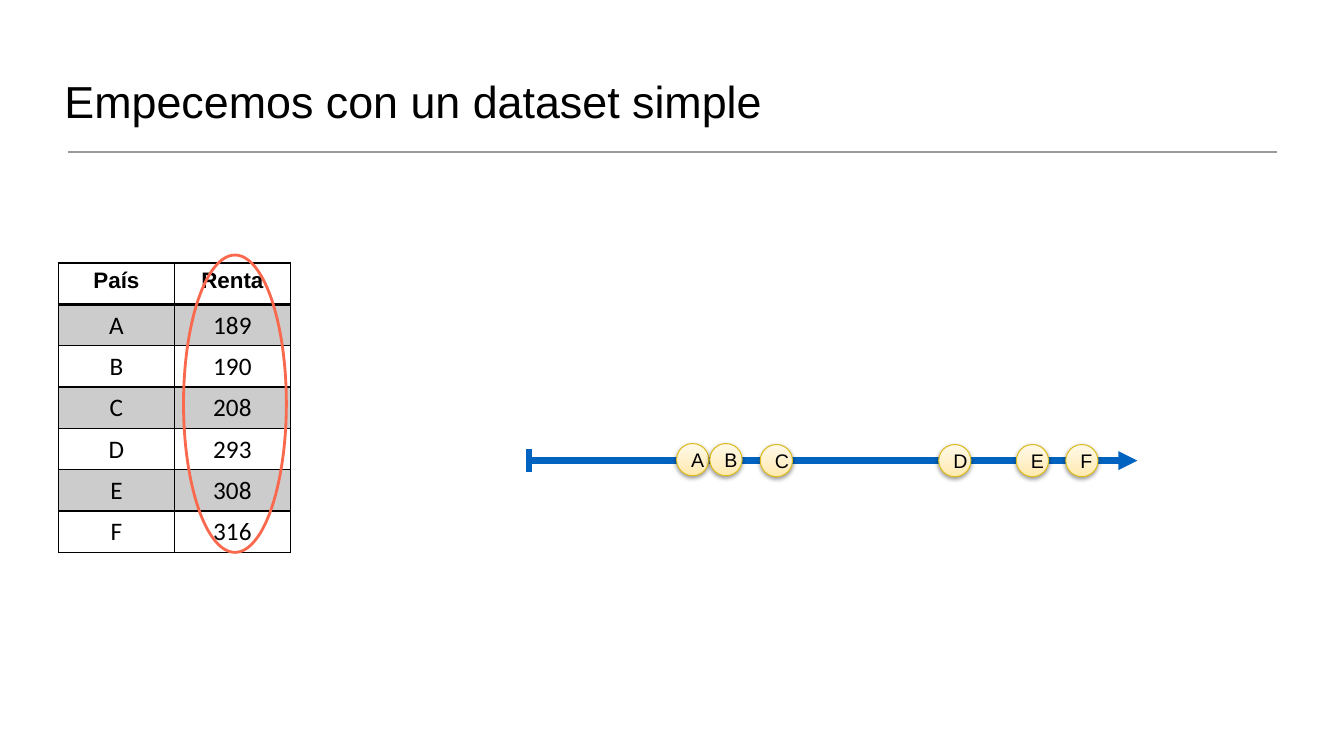
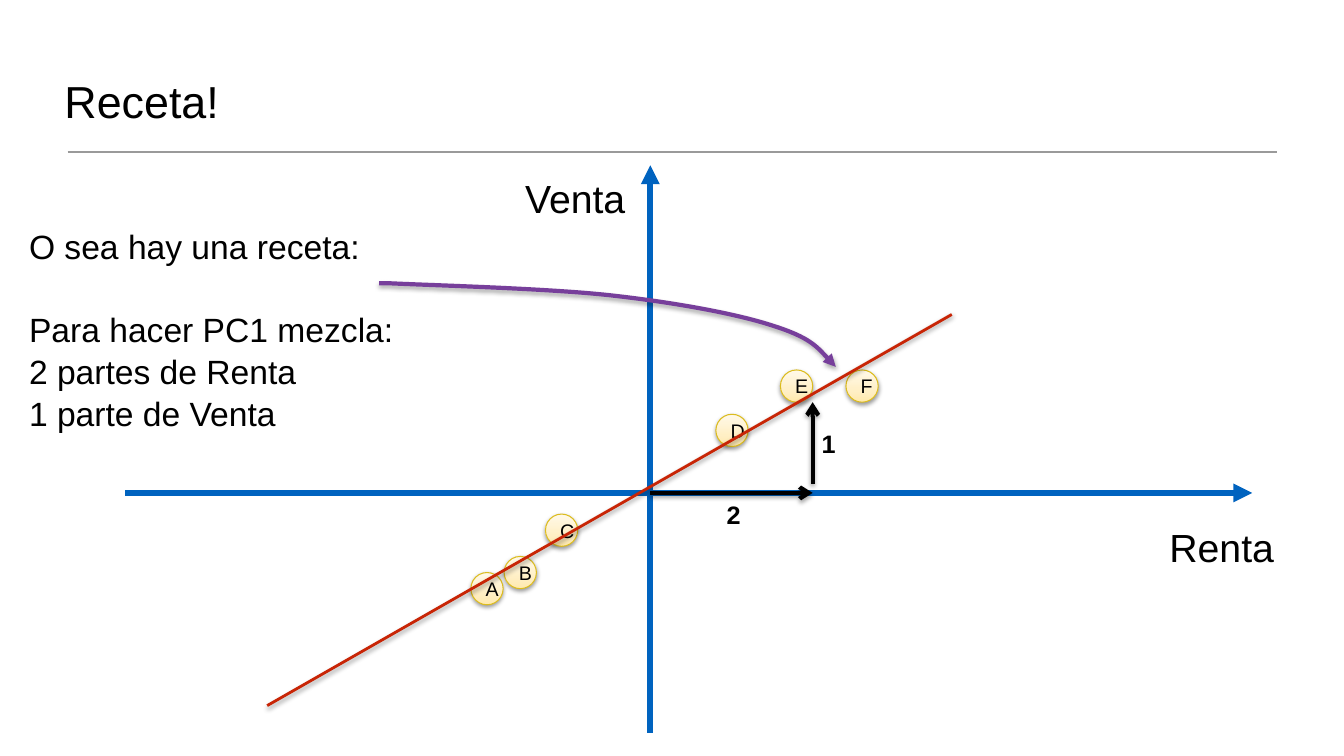
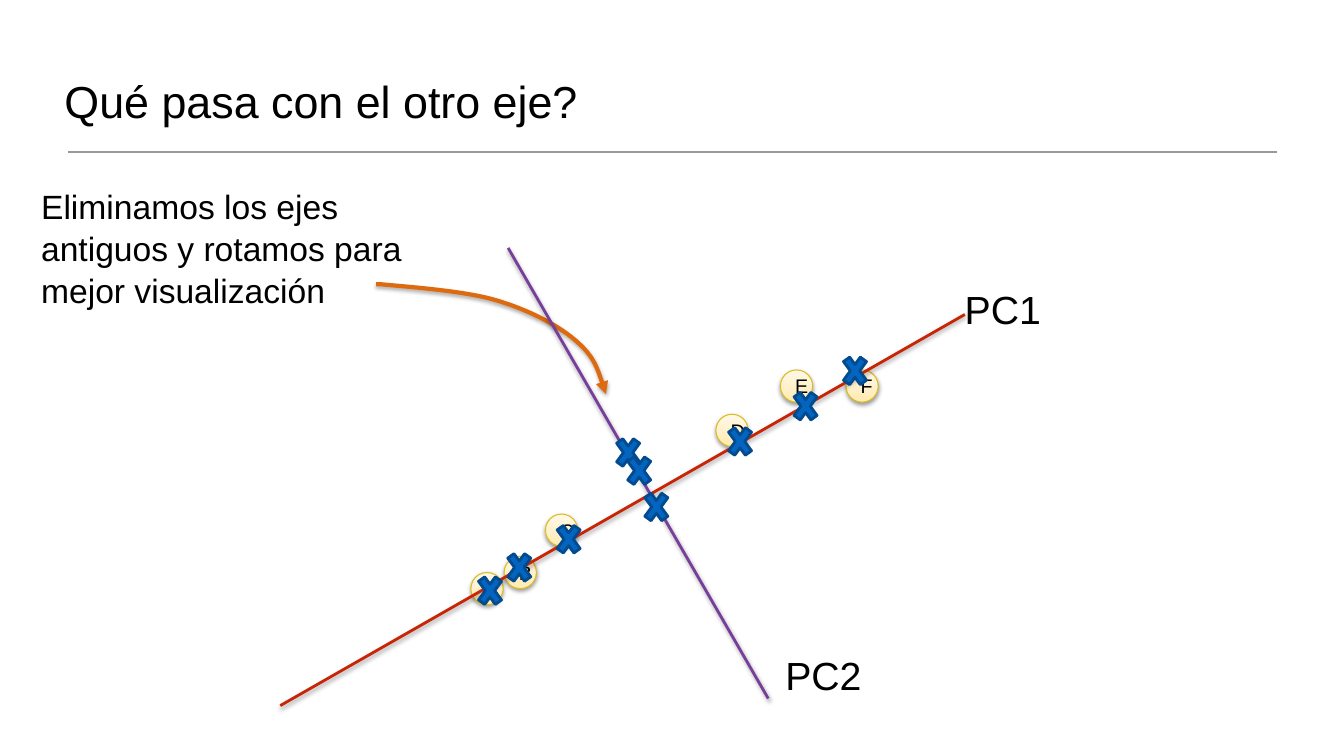
"""Build three slides that introduce principal components."""
from dataclasses import dataclass

from lxml.etree import SubElement
from pptx import Presentation
from pptx.dml.color import RGBColor
from pptx.enum.shapes import MSO_CONNECTOR, MSO_SHAPE
from pptx.enum.text import MSO_ANCHOR, PP_ALIGN
from pptx.oxml.ns import qn
from pptx.util import Pt

EMU_PER_PX = 9144
STRAIGHT = MSO_CONNECTOR.STRAIGHT
ELLIPSE, CROSS = MSO_SHAPE.OVAL, MSO_SHAPE.MATH_MULTIPLY
LEFT, CENTER = PP_ALIGN.LEFT, PP_ALIGN.CENTER
TOP, MIDDLE, BOTTOM = MSO_ANCHOR.TOP, MSO_ANCHOR.MIDDLE, MSO_ANCHOR.BOTTOM

BLACK, RULE, CORAL = "000000", "9A9A9A", "FA694E"
AXIS, RED, PURPLE, ORANGE = "0063BF", "C82506", "773F9B", "DE6A10"
CROSS_FILL, CROSS_LINE, POINT_LINE = "0365C0", "024B8E", "DCBC1E"
POINT_STOPS = ((0, "FFE9AD"), (35, "FFEFC5"), (100, "FFF9E9"))
POINT_SIZE = 32
CROSS_WIDTH, CROSS_HEIGHT = 32, 44
COLUMN_WIDTH, ROW_HEIGHT = 115, 41


@dataclass(frozen=True)
class Shadow:
    """Soft shadow that falls straight down."""
    alpha: int
    distance: float
    blur: float = 3.1


@dataclass(frozen=True)
class Stroke:
    """Look of a line."""
    color: str
    width: float
    tail: str = ""
    shadow: Shadow | None = None


@dataclass(frozen=True)
class Point:
    """Lettered observation, placed by its top left corner."""
    name: str
    x: int
    y: int


@dataclass(frozen=True)
class Label:
    """Single-line text, placed by its box."""
    text: str
    x: int
    y: int
    w: int
    h: int = 57
    size: int = 28
    bold: bool = False


SOFT, FIRM = Shadow(38, 1.6), Shadow(35, 1.8)
AXIS_ARROW = Stroke(AXIS, 4.5, "triangle")
STEP_ARROW = Stroke(BLACK, 3, "arrow", FIRM)
PC1_LINE, PC2_LINE = Stroke(RED, 2, shadow=SOFT), Stroke(PURPLE, 2, shadow=SOFT)

INCOMES = (("A", 189), ("B", 190), ("C", 208), ("D", 293), ("E", 308), ("F", 316))
AXIS_POINTS = (Point("A", 671, 440), Point("B", 704, 440), Point("C", 754, 441),
               Point("D", 931, 441), Point("E", 1008, 441), Point("F", 1057, 441))
PLANE_POINTS = (Point("A", 467, 568), Point("B", 500, 552), Point("C", 541, 510),
                Point("D", 710, 411), Point("E", 774, 367), Point("F", 839, 367))
CROSSES = ((832, 346), (783, 381), (718, 416), (548, 513), (499, 541),
           (470, 564), (607, 427), (618, 445), (635, 481))
RECIPE = ("O sea hay una receta:", "Para hacer PC1 mezcla:", "2 partes de Renta", "1 parte de Venta")
RECIPE_CURVE = ((376, 281), (385, 281), (385, 281), (385, 281), (423, 283), (541, 286), (605, 293),
                (668, 300), (729, 311), (766, 323), (804, 335), (816, 350), (829, 364))
ROTATION_CURVE = ((373, 282), (378, 282), (378, 282), (378, 282), (397, 284), (457, 288), (489, 297),
                  (521, 306), (551, 321), (570, 337), (589, 353), (595, 372), (601, 391))


def px(value: int) -> int:
    """Turn px into EMU."""
    return value * EMU_PER_PX


def rgb(color: str) -> RGBColor:
    """Turn a hex string into a colour."""
    return RGBColor.from_string(color)


def add_xml(parent, tag: str, **attrs):
    """Append an XML child."""
    return SubElement(parent, qn(tag), {k: str(v) for k, v in attrs.items()})


def add_color(parent, color: str, alpha: int = 100) -> None:
    """Append a colour with its opacity in percent."""
    node = add_xml(parent, "a:srgbClr", val=color)
    if alpha < 100:
        add_xml(node, "a:alpha", val=alpha * 1000)


def write(p, text: str, *, size: int, font: str = "Arial", bold: bool = False, align=LEFT,
          spacing: float | None = None, before: int = 0) -> None:
    """Fill a paragraph with formatted text."""
    p.alignment = align
    if spacing:
        p.line_spacing = spacing
    if before:
        p.space_before = Pt(before)
    r = p.add_run()
    r.text = text
    r.font.size, r.font.name, r.font.bold = Pt(size), font, bold
    r.font.color.rgb = rgb(BLACK)


def set_shadow(sp, shadow: Shadow | None) -> None:
    """Replace the theme shadow."""
    sp_pr = sp._element.spPr
    effects = sp_pr.find(qn("a:effectLst"))
    if effects is None:
        effects = add_xml(sp_pr, "a:effectLst")
    if shadow:
        outer = add_xml(effects, "a:outerShdw", blurRad=Pt(shadow.blur), dist=Pt(shadow.distance),
                        dir=5400000, rotWithShape=0)
        add_color(outer, BLACK, shadow.alpha)


def set_stroke(sp, stroke: Stroke) -> None:
    """Set line, arrowhead and shadow."""
    sp.line.color.rgb = rgb(stroke.color)
    sp.line.width = Pt(stroke.width)
    if stroke.tail:
        add_xml(sp._element.spPr.find(qn("a:ln")), "a:tailEnd", type=stroke.tail)
    set_shadow(sp, stroke.shadow)


def add_line(slide, x1: int, y1: int, x2: int, y2: int, stroke: Stroke) -> None:
    """Draw a straight line."""
    sp = slide.shapes.add_connector(STRAIGHT, px(x1), px(y1), px(x2), px(y2))
    set_stroke(sp, stroke)


def add_figure(slide, kind, x: int, y: int, w: int, h: int, stroke: Stroke, fill: str = ""):
    """Draw a preset shape."""
    sp = slide.shapes.add_shape(kind, px(x), px(y), px(w), px(h))
    sp.shadow.inherit = False
    if fill:
        sp.fill.solid()
        sp.fill.fore_color.rgb = rgb(fill)
    else:
        sp.fill.background()
    set_stroke(sp, stroke)
    return sp


def add_curve(slide, points: tuple, color: str) -> None:
    """Draw an arrow along a chain of cubic curves."""
    builder = slide.shapes.build_freeform(*map(px, points[0]), scale=1.0)
    builder.add_line_segments([(px(x), px(y)) for x, y in points[1:]], close=False)
    sp = builder.convert_to_shape()
    sp.shadow.inherit = False
    sp.fill.background()
    outline = sp._element.spPr.find(".//" + qn("a:path"))
    segments = outline.findall(qn("a:lnTo"))
    for i in range(0, len(segments), 3):
        curve = add_xml(outline, "a:cubicBezTo")
        for segment in segments[i:i + 3]:
            curve.append(segment[0])
            outline.remove(segment)
    set_stroke(sp, Stroke(color, 3, "triangle", FIRM))


def add_points(slide, points: tuple[Point, ...]) -> None:
    """Draw the lettered observations."""
    for point in points:
        sp = add_figure(slide, ELLIPSE, point.x, point.y, POINT_SIZE, POINT_SIZE,
                        Stroke(POINT_LINE, 0.75, shadow=SOFT))
        sp.fill.gradient()
        sp.fill.gradient_angle = 90
        stops = sp._element.spPr.find(".//" + qn("a:gsLst"))
        stops.clear()
        for position, color in POINT_STOPS:
            add_color(add_xml(stops, "a:gs", pos=position * 1000), color)
        write(sp.text_frame.paragraphs[0], point.name, size=14, align=CENTER)


def add_box(slide, x: int, y: int, w: int, h: int, wrap: bool = True):
    """Add an empty text box and return its frame."""
    tf = slide.shapes.add_textbox(px(x), px(y), px(w), px(h)).text_frame
    tf.word_wrap = wrap
    return tf


def add_labels(slide, *labels: Label) -> None:
    """Write single-line labels."""
    for label in labels:
        tf = add_box(slide, label.x, label.y, label.w, label.h, wrap=False)
        write(tf.paragraphs[0], label.text, size=label.size, bold=label.bold, spacing=1.05)


def add_slide(prs, title: str):
    """Add a slide with its title and rule."""
    slide = prs.slides.add_slide(prs.slide_layouts[6])
    add_line(slide, 67, 151, 1267, 151, Stroke(RULE, 1))
    tf = add_box(slide, 58, 25, 1217, 107)
    tf.vertical_anchor = BOTTOM
    tf.margin_left = tf.margin_top = tf.margin_right = tf.margin_bottom = px(6)
    write(tf.paragraphs[0], title, size=32)
    return slide


def set_cell(cell, text: str, header: bool, shaded: bool) -> None:
    """Fill and frame a table cell."""
    tc_pr = cell._tc.get_or_add_tcPr()
    for side in "LRTB":
        width = 2 if header and side == "B" else 1
        ln = add_xml(tc_pr, "a:ln" + side, w=Pt(width))
        add_color(add_xml(ln, "a:solidFill"), BLACK)
    if shaded:
        add_color(add_xml(tc_pr, "a:solidFill"), BLACK, 20)
    else:
        cell.fill.background()
    p = cell.text_frame.paragraphs[0]
    if header:
        cell.vertical_anchor = TOP
        write(p, text, size=16, bold=True, align=CENTER)
    else:
        cell.vertical_anchor = MIDDLE
        cell.margin_left = cell.margin_top = cell.margin_right = px(1)
        cell.margin_bottom = 0
        write(p, text, size=18, font="Calibri", align=CENTER)


def add_income_table(slide) -> None:
    """Draw the table of incomes by country."""
    rows = (("País", "Renta"), *INCOMES)
    table = slide.shapes.add_table(len(rows), 2, px(58), px(261), px(2 * COLUMN_WIDTH),
                                   px(len(rows) * ROW_HEIGHT)).table
    table.first_row = table.horz_banding = False
    for i, values in enumerate(rows):
        for j, value in enumerate(values):
            set_cell(table.cell(i, j), str(value), header=i == 0, shaded=i % 2 == 1)


def build_dataset(prs) -> None:
    """Show the incomes in a table and on one axis."""
    slide = add_slide(prs, "Empecemos con un dataset simple")
    add_income_table(slide)
    add_figure(slide, ELLIPSE, 182, 253, 102, 295, Stroke(CORAL, 2))
    add_line(slide, 525, 457, 1128, 457, AXIS_ARROW)
    add_line(slide, 525, 445, 525, 468, Stroke(AXIS, 4.5))
    add_points(slide, AXIS_POINTS)


def build_recipe(prs) -> None:
    """Show the first component as a mix of both variables."""
    slide = add_slide(prs, "Receta!")
    add_points(slide, PLANE_POINTS)
    add_line(slide, 124, 489, 1242, 489, AXIS_ARROW)
    add_line(slide, 645, 727, 645, 164, AXIS_ARROW)
    add_line(slide, 944, 312, 265, 700, PC1_LINE)
    add_curve(slide, RECIPE_CURVE, PURPLE)
    add_line(slide, 645, 489, 806, 489, STEP_ARROW)
    add_line(slide, 806, 480, 806, 399, STEP_ARROW)
    tf = add_box(slide, 19, 218, 427, 212)
    for i, line in enumerate(RECIPE):
        p = tf.add_paragraph() if i else tf.paragraphs[0]
        write(p, line, size=24, spacing=1.04, before=29 if i == 1 else 0)
    add_labels(slide, Label("Renta", 1150, 512, 125), Label("Venta", 511, 166, 123),
               Label("2", 711, 489, 34, 40, 18, True), Label("1", 805, 419, 34, 40, 18, True))


def build_other_axis(prs) -> None:
    """Show the second component and the projections."""
    slide = add_slide(prs, "Qué pasa con el otro eje?")
    add_curve(slide, ROTATION_CURVE, ORANGE)
    tf = add_box(slide, 31, 178, 387, 131)
    write(tf.paragraphs[0], "Eliminamos los ejes antiguos y rotamos para mejor visualización",
          size=24, spacing=1.04)
    add_points(slide, PLANE_POINTS)
    add_line(slide, 957, 312, 278, 700, PC1_LINE)
    add_line(slide, 504, 246, 762, 693, PC2_LINE)
    for x, y in CROSSES:
        add_figure(slide, CROSS, x, y, CROSS_WIDTH, CROSS_HEIGHT, Stroke(CROSS_LINE, 2), CROSS_FILL)
    add_labels(slide, Label("PC2", 769, 639, 97), Label("PC1", 947, 276, 97))


def main() -> None:
    """Build and save the presentation."""
    prs = Presentation()
    prs.slide_width, prs.slide_height = px(1333), px(750)
    build_dataset(prs)
    build_recipe(prs)
    build_other_axis(prs)
    prs.save("out.pptx")


if __name__ == "__main__":
    main()
